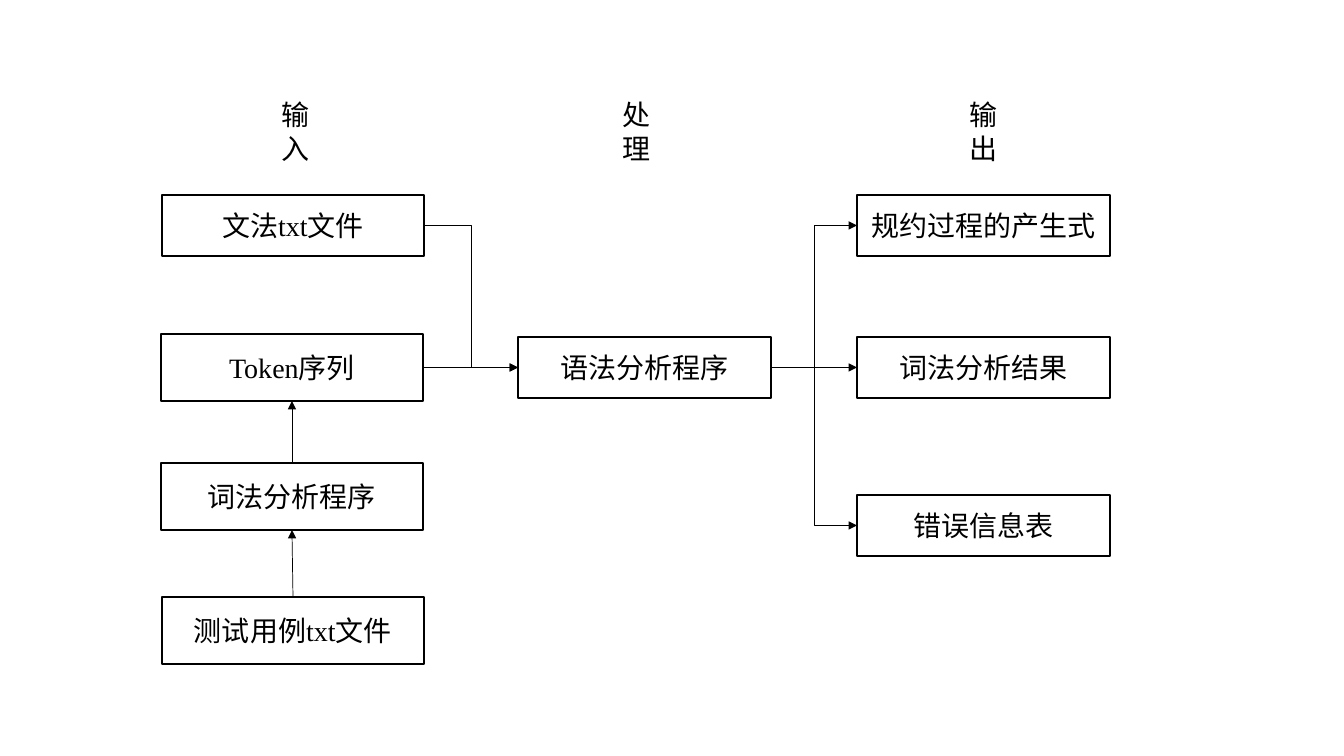
from lxml import etree
from pptx import Presentation
from pptx import util as u
from pptx.dml.color import RGBColor
from pptx.enum import shapes, text
from pptx.oxml.ns import qn

BLACK = RGBColor(0, 0, 0)
WHITE = RGBColor(255, 255, 255)
LATIN, CHINESE = "Times New Roman", "Noto Sans CJK SC"
PIXEL = 914400 / 100.8
TOP, LEFT, BOTTOM, RIGHT = range(4)  # connection sites of a rectangle

# Heading: text, left, width
HEADINGS = [("输入", 272, 52), ("处理", 613, 59), ("输出", 960, 47)]
HEADING_TOP, HEADING_HEIGHT = 93, 78

# Box: name -> text, left, top, width, height
BOXES = {
    "grammar": ("文法txt文件", 162, 195, 262, 61),
    "tokens": ("Token序列", 161, 334, 262, 67),
    "lexer": ("词法分析程序", 161, 463, 262, 67),
    "tests": ("测试用例txt文件", 162, 597, 262, 67),
    "parser": ("语法分析程序", 518, 337, 253, 61),
    "productions": ("规约过程的产生式", 857, 195, 253, 61),
    "results": ("词法分析结果", 857, 337, 253, 61),
    "errors": ("错误信息表", 857, 495, 253, 61),
}

STRAIGHT, ELBOW = shapes.MSO_CONNECTOR.STRAIGHT, shapes.MSO_CONNECTOR.ELBOW
# Arrow: kind, source, site, target, site
ARROWS = [
    (ELBOW, "grammar", RIGHT, "parser", LEFT),
    (STRAIGHT, "tokens", RIGHT, "parser", LEFT),
    (STRAIGHT, "tests", TOP, "lexer", BOTTOM),
    (STRAIGHT, "lexer", TOP, "tokens", BOTTOM),
    (ELBOW, "parser", RIGHT, "productions", LEFT),
    (STRAIGHT, "parser", RIGHT, "results", LEFT),
    (ELBOW, "parser", RIGHT, "errors", LEFT),
]


def px(*lengths):
    """Turn pixels into EMU."""
    return [u.Emu(round(length * PIXEL)) for length in lengths]


def write(shape, words, font_name, frame_format, align):
    """Put one formatted paragraph into a shape."""
    frame = shape.text_frame
    for key, value in frame_format.items():
        setattr(frame, key, value)
    para = frame.paragraphs[0]
    para.alignment = align
    span = para.add_run()
    span.text = words
    for key, value in {"size": u.Pt(20), "name": font_name}.items():
        setattr(span.font, key, value)
    span.font.color.rgb = BLACK
    latin = span.font._element.find(qn("a:latin"))
    east_asian = etree.Element(qn("a:ea"), typeface=CHINESE)
    latin.addnext(east_asian)


def add_heading(page, words, left, width):
    """Add a column heading narrow enough to stack its characters."""
    box = page.shapes.add_textbox(*px(left, HEADING_TOP, width, HEADING_HEIGHT))
    frame_format = {"word_wrap": True, "auto_size": text.MSO_AUTO_SIZE.SHAPE_TO_FIT_TEXT}
    write(box, words, CHINESE, frame_format, text.PP_ALIGN.LEFT)


def add_box(page, words, *place):
    """Add an outlined box with centred text and return it."""
    box = page.shapes.add_shape(shapes.MSO_SHAPE.RECTANGLE, *px(*place))
    box.shadow.inherit = False
    box.fill.solid()
    box.fill.fore_color.rgb = WHITE
    box.line.color.rgb = BLACK
    box.line.width = u.Pt(1)
    frame_format = {"word_wrap": True, "vertical_anchor": text.MSO_ANCHOR.MIDDLE}
    write(box, words, LATIN, frame_format, text.PP_ALIGN.CENTER)
    return box


def add_arrow(page, kind, source, source_site, target, target_site):
    """Join two boxes with a thin arrow."""
    arrow = page.shapes.add_connector(kind, 0, 0, 0, 0)
    arrow.begin_connect(source, source_site)
    arrow.end_connect(target, target_site)
    arrow.line.color.rgb = BLACK
    arrow.line.width = u.Pt(0.5)
    etree.SubElement(arrow.line._get_or_add_ln(), qn("a:tailEnd"), type="triangle")
    etree.SubElement(arrow._element.spPr, qn("a:effectLst"))


deck = Presentation()
deck.slide_width, deck.slide_height = px(1344, 756)
page = deck.slides.add_slide(deck.slide_layouts[6])
for heading in HEADINGS:
    add_heading(page, *heading)
boxes = {name: add_box(page, *box) for name, box in BOXES.items()}
for kind, source, source_site, target, target_site in ARROWS:
    add_arrow(page, kind, boxes[source], source_site, boxes[target], target_site)
deck.save("out.pptx")
